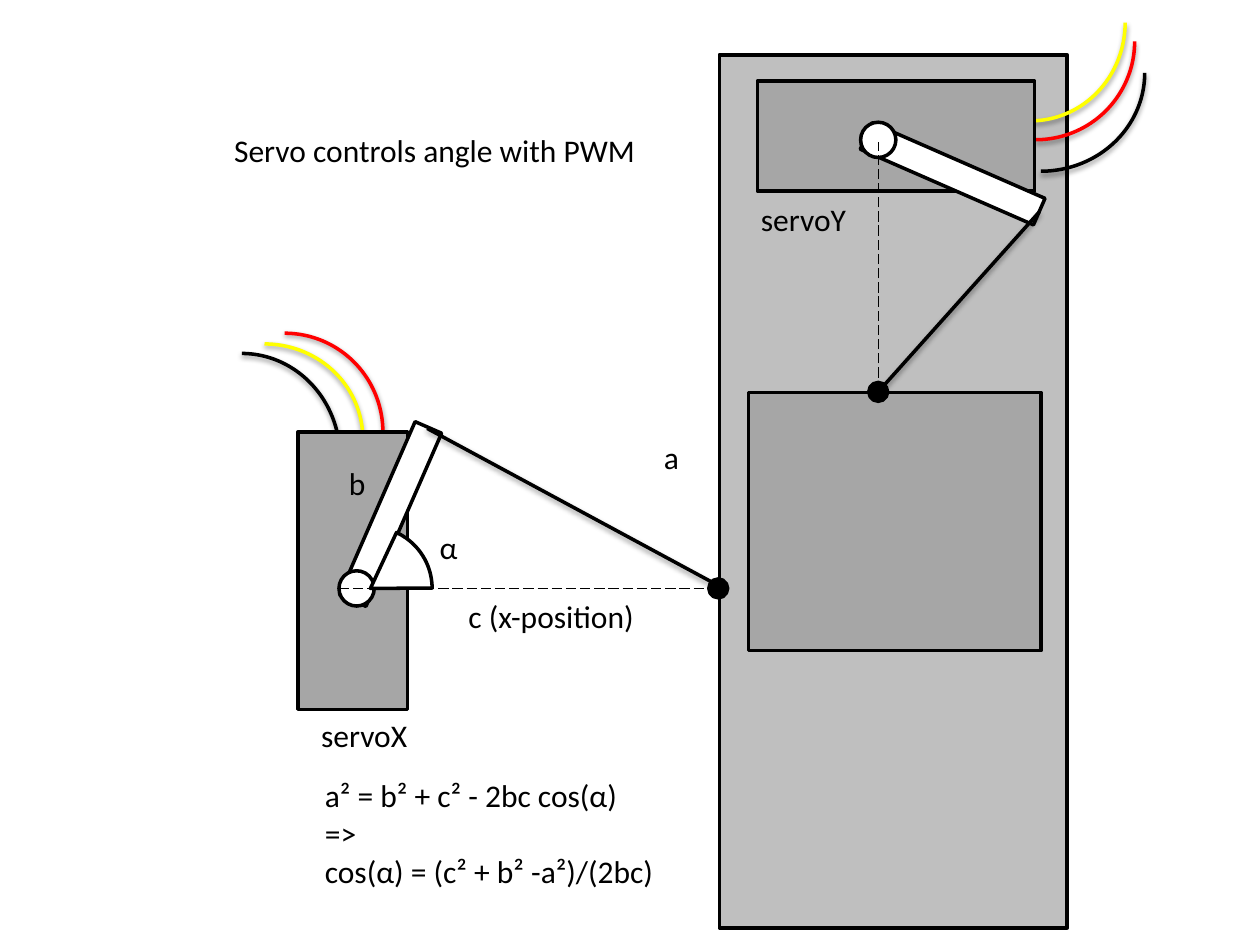
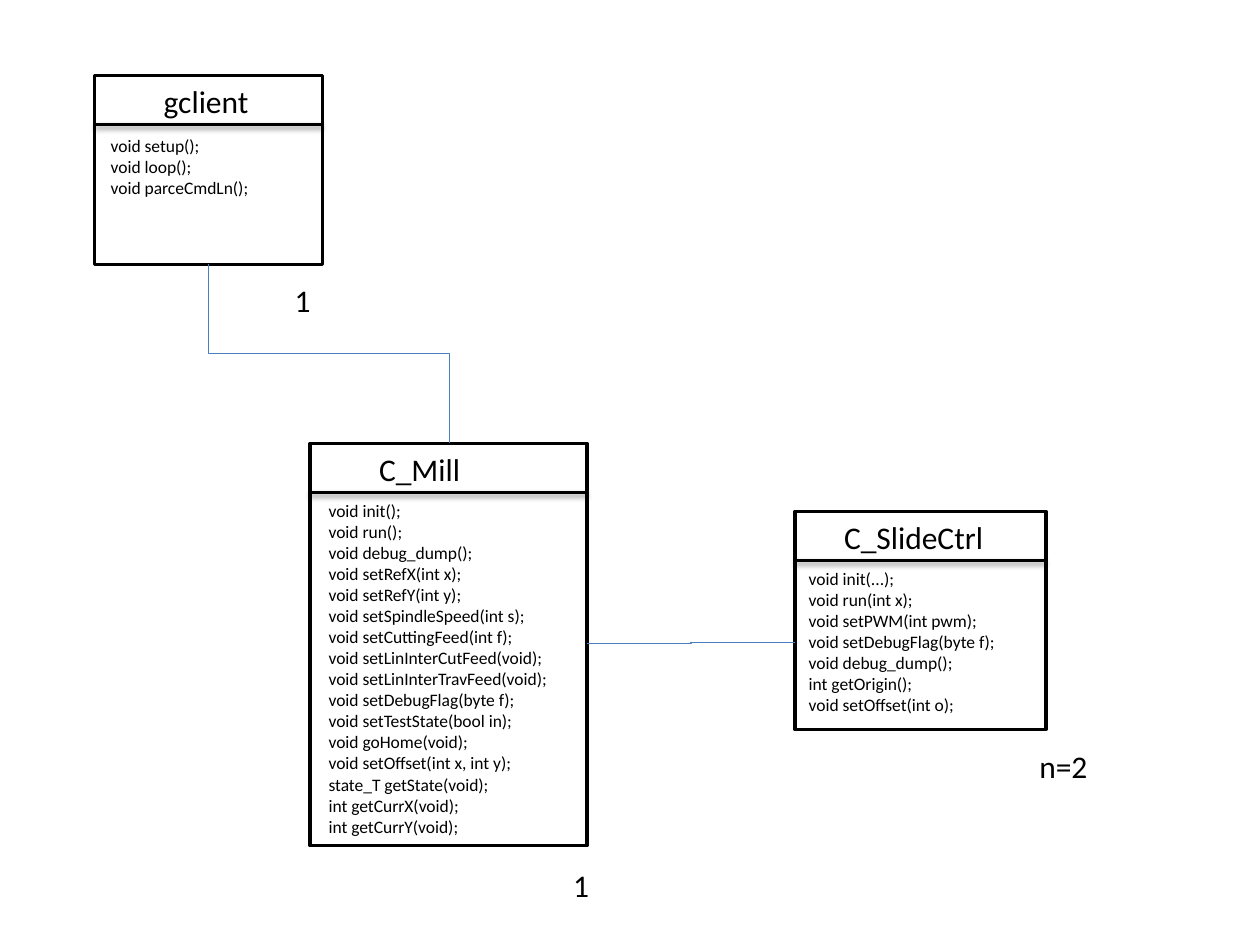
from dataclasses import dataclass

from lxml import etree
from pptx import Presentation
from pptx.dml.color import RGBColor
from pptx.enum.dml import MSO_LINE
from pptx.enum.shapes import MSO_CONNECTOR, MSO_SHAPE
from pptx.enum.text import MSO_AUTO_SIZE
from pptx.oxml.ns import qn
from pptx.util import Inches, Pt

ARC, PIE = MSO_SHAPE.ARC, MSO_SHAPE.PIE
RECTANGLE, OVAL = MSO_SHAPE.RECTANGLE, MSO_SHAPE.OVAL
STRAIGHT, ELBOW = MSO_CONNECTOR.STRAIGHT, MSO_CONNECTOR.ELBOW
LONG_DASH = MSO_LINE.LONG_DASH
FIT_TEXT = MSO_AUTO_SIZE.SHAPE_TO_FIT_TEXT

COLORS = {
    "ink": "000000",
    "paper": "FFFFFF",
    "panel": "BFBFBF",
    "body": "A6A6A6",
    "yellow": "FFFF00",
    "red": "FF0000",
    "link": "4B7EBC",
}
FONT = "Calibri"
HEAVY, THIN = 2, 0.75
LABEL_SIZE, METHOD_SIZE = 18, 10
HEADER_HEIGHT = 0.39
WIRE_WIDTH = 1.56
WIRE_HEIGHTS = {"yellow": 1.5, "ink": 1.65, "red": 1.57}

Point = tuple[float, float]
Size = tuple[float, float]


@dataclass
class Label:
    text: str
    left: float
    top: float
    width: float


@dataclass
class Servo:
    pivot: Point
    turn: int
    wires: dict[str, Point]
    label: Label


@dataclass
class ClassBox:
    corner: Point
    size: Size
    title: Label
    methods: Label
    count: Label | None = None


def rgb(name: str) -> RGBColor:
    return RGBColor.from_string(COLORS[name])


def set_effects(shape, shadow: bool) -> None:
    effects = etree.SubElement(shape.element.spPr, qn("a:effectLst"))
    if shadow:
        outer = etree.SubElement(
            effects, qn("a:outerShdw"), blurRad=str(Pt(3.1)), dist=str(Pt(1.6)),
            dir="5400000", rotWithShape="0",
        )
        color = etree.SubElement(outer, qn("a:srgbClr"), val=COLORS["ink"])
        etree.SubElement(color, qn("a:alpha"), val="38000")


def add_shape(slide, kind, center: Point, size: Size, fill: str | None = None,
              line: str = "ink", turn: float = 0, shadow: bool = False):
    (x, y), (width, height) = center, size
    shape = slide.shapes.add_shape(
        kind, Inches(x - width / 2), Inches(y - height / 2), Inches(width), Inches(height)
    )
    shape.rotation = turn
    if fill:
        shape.fill.solid()
        shape.fill.fore_color.rgb = rgb(fill)
    else:
        shape.fill.background()
    shape.line.color.rgb = rgb(line)
    shape.line.width = Pt(HEAVY)
    set_effects(shape, shadow)
    return shape


def add_line(slide, start: Point, end: Point, color: str = "ink", weight: float = HEAVY,
             kind=STRAIGHT, dashed: bool = False, shadow: bool = False):
    line = slide.shapes.add_connector(kind, *(Inches(value) for value in (*start, *end)))
    line.line.color.rgb = rgb(color)
    line.line.width = Pt(weight)
    if dashed:
        line.line.dash_style = LONG_DASH
    set_effects(line, shadow)
    return line


def add_label(slide, label: Label, size: int = LABEL_SIZE) -> None:
    rows = label.text.split("\n")
    height = len(rows) * size * 1.22 / 72 + 0.1
    box = slide.shapes.add_textbox(
        Inches(label.left), Inches(label.top), Inches(label.width), Inches(height)
    )
    frame = box.text_frame
    frame.word_wrap = False
    frame.auto_size = FIT_TEXT
    frame.text = label.text
    for para in frame.paragraphs:
        para.font.name = FONT
        para.font.size = Pt(size)
        para.font.color.rgb = rgb("ink")


def add_servo(slide, servo: Servo) -> None:
    def around(right: float, down: float) -> Point:
        x, y = servo.pivot
        return (x - down, y + right) if servo.turn == 90 else (x + right, y + down)

    for color, center in servo.wires.items():
        add_shape(slide, ARC, center, (WIRE_WIDTH, WIRE_HEIGHTS[color]),
                  line=color, turn=servo.turn, shadow=True)
    add_shape(slide, RECTANGLE, around(-0.03, -0.14), (0.87, 2.2), "body", turn=servo.turn)
    add_shape(slide, RECTANGLE, around(0.27, -0.59), (0.23, 1.5), "paper",
              turn=servo.turn + 23.6)
    add_shape(slide, OVAL, servo.pivot, (0.28, 0.28), "paper", turn=servo.turn)
    add_label(slide, servo.label)


def add_class_box(slide, item: ClassBox) -> None:
    (left, top), (width, height) = item.corner, item.size
    add_shape(slide, RECTANGLE, (left + width / 2, top + height / 2), item.size)
    divider = top + HEADER_HEIGHT
    add_line(slide, (left, divider), (left + width, divider), shadow=True)
    add_label(slide, item.title)
    add_label(slide, item.methods, METHOD_SIZE)
    if item.count:
        add_label(slide, item.count)


SERVO_X = Servo(
    (2.83, 4.67), 0,
    {"yellow": (2.1, 3.48), "ink": (1.92, 3.63), "red": (2.26, 3.43)},
    Label("servoX", 2.45, 5.63, 0.89),
)
SERVO_Y = Servo(
    (6.97, 1.11), 90,
    {"yellow": (8.18, 0.18), "ink": (8.26, 0.58), "red": (8.22, 0.33)},
    Label("servoY", 5.94, 1.54, 0.88),
)
JOINT_X, JOINT_Y = (5.7, 4.67), (6.97, 3.11)

SERVO_LABELS = [
    Label("α", 3.39, 4.14, 0.35),
    Label("c (x-position)", 3.62, 4.69, 1.54),
    Label("a", 5.17, 3.43, 0.32),
    Label("b", 2.67, 3.63, 0.34),
    Label("a² = b² + c² - 2bc cos(α)\n=>\ncos(α) = (c² + b² -a²)/(2bc)", 2.48, 6.11, 2.84),
    Label("Servo controls angle with PWM", 1.76, 0.99, 3.42),
]

CLIENT_METHODS = """void setup();
void loop();
void parceCmdLn();"""

MILL_METHODS = """void init();
void run();
void debug_dump();
void setRefX(int x);
void setRefY(int y);
void setSpindleSpeed(int s);
void setCuttingFeed(int f);
void setLinInterCutFeed(void);
void setLinInterTravFeed(void);
void setDebugFlag(byte f);
void setTestState(bool in);
void goHome(void);
void setOffset(int x, int y);
state_T getState(void);
int getCurrX(void);
int getCurrY(void);"""

SLIDE_METHODS = """void init(...);
void run(int x);
void setPWM(int pwm);
void setDebugFlag(byte f);
void debug_dump();
int getOrigin();
void setOffset(int o);"""

CLASS_BOXES = [
    ClassBox((0.75, 0.6), (1.81, 1.5), Label("gclient", 1.2, 0.6, 0.88),
             Label(CLIENT_METHODS, 0.78, 1.02, 1.31), Label("1", 2.24, 2.18, 0.33)),
    ClassBox((2.46, 3.52), (2.2, 3.19), Label("C_Mill", 2.91, 3.52, 0.85),
             Label(MILL_METHODS, 2.51, 3.92, 1.94), Label("1", 4.45, 6.82, 0.33)),
    ClassBox((6.31, 4.06), (1.99, 1.73), Label("C_SlideCtrl", 6.6, 4.06, 1.32),
             Label(SLIDE_METHODS, 6.32, 4.46, 1.68), Label("n=2", 8.15, 5.88, 0.59)),
]


def build_servo_slide(slide) -> None:
    add_shape(slide, RECTANGLE, (7.09, 3.9), (2.76, 6.93), "panel")
    for servo in (SERVO_X, SERVO_Y):
        add_servo(slide, servo)
    add_line(slide, (3.39, 3.4), (5.65, 4.62), shadow=True)
    add_line(slide, (8.25, 1.68), JOINT_Y, shadow=True)
    add_line(slide, (2.69, 4.67), (5.63, 4.67), weight=THIN, dashed=True)
    angle = add_shape(slide, PIE, (2.94, 4.67), (0.98, 0.98), "paper", turn=335)
    angle.adjustments[0] = 192
    angle.adjustments[1] = 14.79
    add_shape(slide, RECTANGLE, (7.1, 4.14), (2.32, 2.05), "body")
    add_line(slide, JOINT_Y, (6.97, 1.13), weight=THIN, dashed=True)
    for joint in (JOINT_X, JOINT_Y):
        add_shape(slide, OVAL, joint, (0.15, 0.15), "ink")
    for label in SERVO_LABELS:
        add_label(slide, label)


def build_class_slide(slide) -> None:
    for item in CLASS_BOXES:
        add_class_box(slide, item)
    drop = add_line(slide, (3.32, 1.85), (1.9, 3.76), "link", THIN, ELBOW)
    drop.element.spPr.xfrm.set("rot", str(270 * 60000))
    add_line(slide, (4.66, 5.11), (6.31, 5.1), "link", THIN, ELBOW)


deck = Presentation()
deck.slide_width, deck.slide_height = Inches(10), Inches(7.5)
for build in (build_servo_slide, build_class_slide):
    build(deck.slides.add_slide(deck.slide_layouts[6]))
deck.save("out.pptx")
